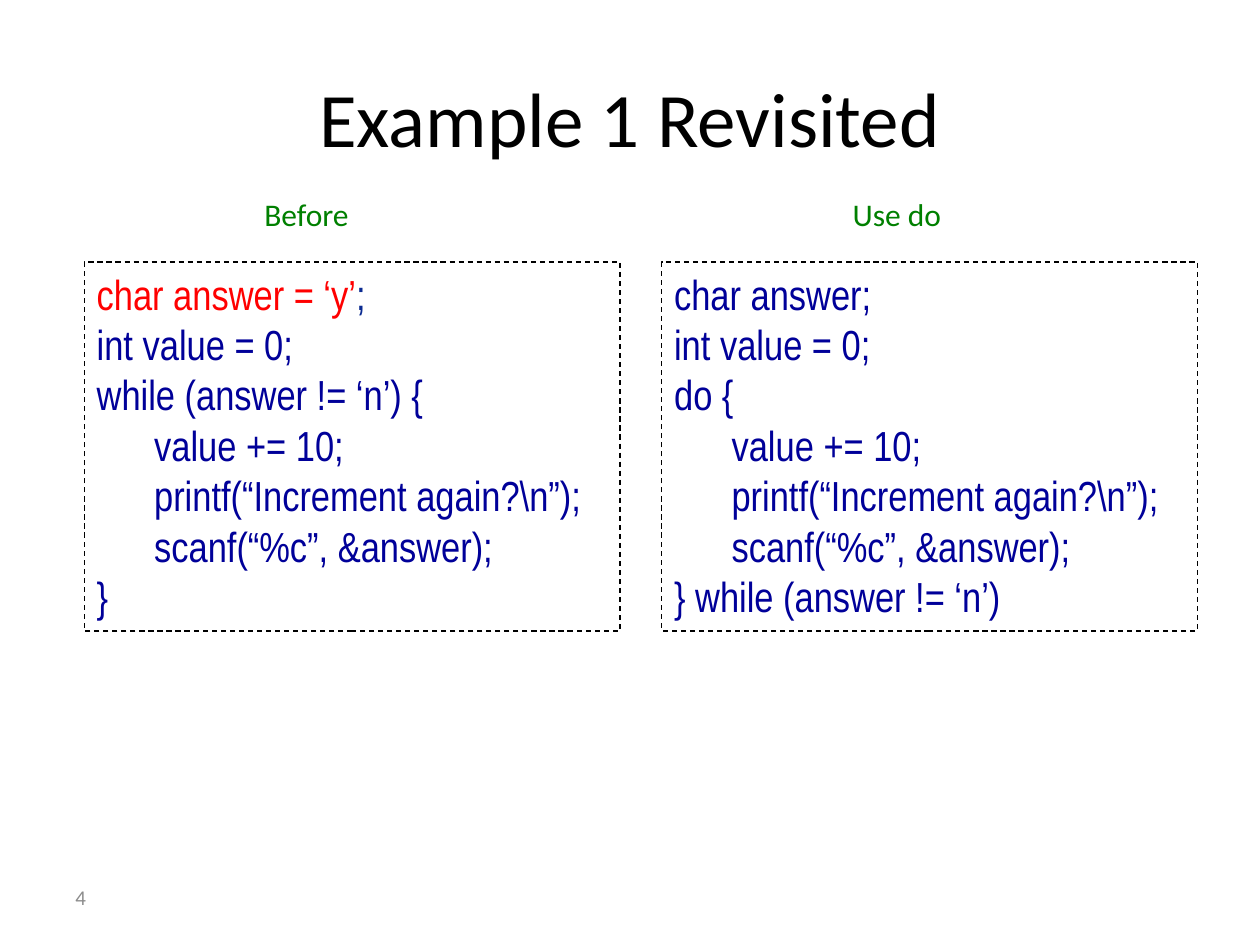
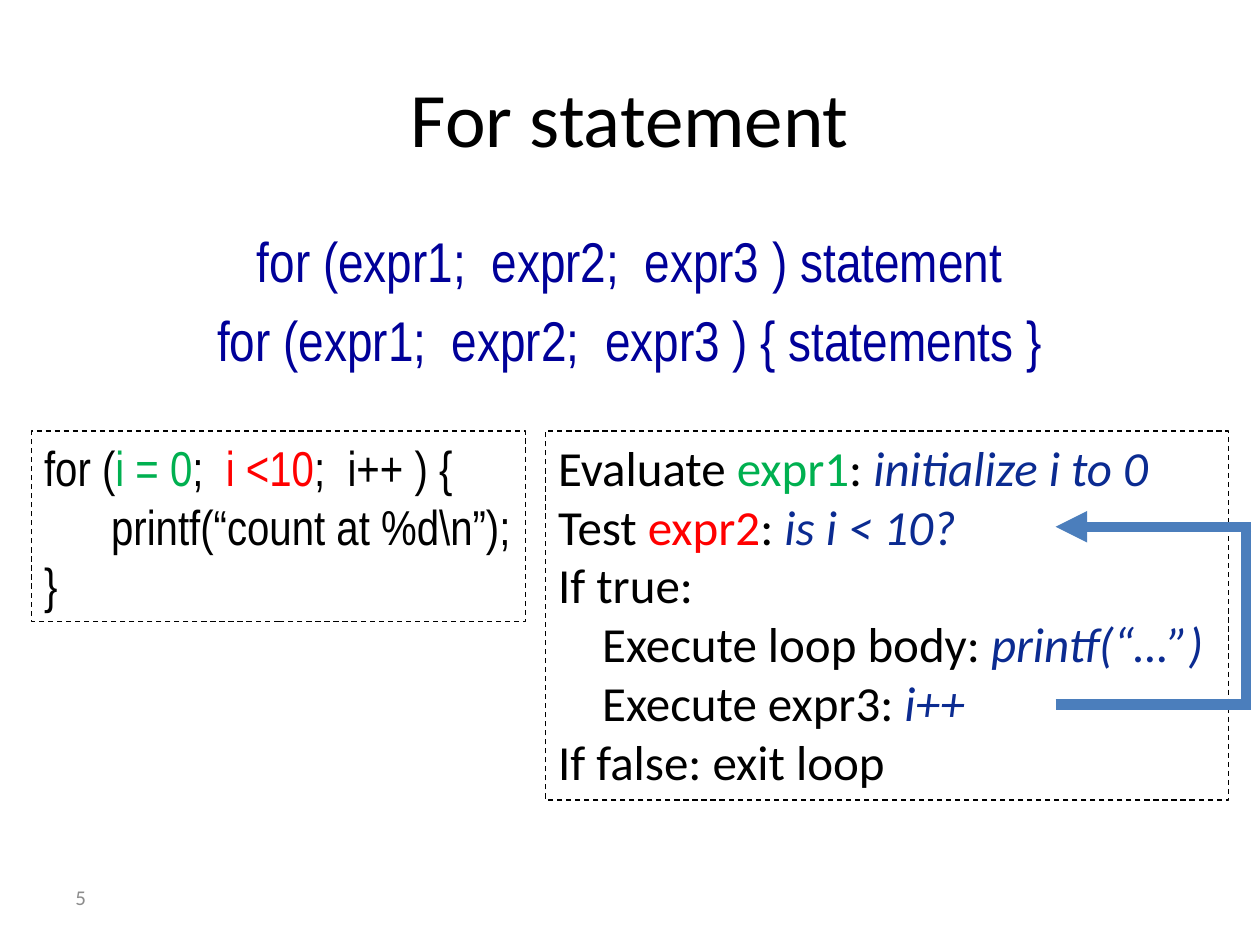
from dataclasses import dataclass
from typing import Optional

from lxml import etree
from pptx import Presentation
from pptx import util as u
from pptx.dml.color import RGBColor
from pptx.enum import dml, shapes, text
from pptx.oxml.ns import qn

BLACK = RGBColor(0x00, 0x00, 0x00)
GREY = RGBColor(0x8C, 0x8C, 0x8C)
RED = RGBColor(0xFF, 0x00, 0x00)
GREEN = RGBColor(0x00, 0xB0, 0x50)
CAPTION_GREEN = RGBColor(0x00, 0x80, 0x00)
CODE_BLUE = RGBColor(0x00, 0x00, 0x99)
NOTE_BLUE = RGBColor(0x0B, 0x2B, 0x91)
ARROW_BLUE = RGBColor(0x4B, 0x7E, 0xBC)

CODE_FONT = "Arial Narrow"
TEXT_FONT = "Calibri"

MARGIN = 1.27
CONTENT_WIDTH = 22.86


@dataclass(frozen=True)
class Area:
    """A rectangle in centimetres."""
    left: float
    top: float
    width: float
    height: float

    def lengths(self) -> tuple:
        return tuple(u.Cm(n) for n in (self.left, self.top, self.width, self.height))


@dataclass(frozen=True)
class Style:
    font: str
    size: float
    colour: RGBColor
    centred: bool = False
    gap: float = 0
    anchor: text.MSO_ANCHOR = text.MSO_ANCHOR.TOP
    wrap: bool = True


@dataclass(frozen=True)
class Span:
    """Part of a line; colour None means the colour of the box style."""
    content: str
    colour: Optional[RGBColor] = None
    italic: bool = False


@dataclass(frozen=True)
class Line:
    spans: tuple
    indent: float = 0


TITLE = Style(TEXT_FONT, 44, BLACK, centred=True, anchor=text.MSO_ANCHOR.MIDDLE)
NUMBER = Style(TEXT_FONT, 12, GREY, anchor=text.MSO_ANCHOR.MIDDLE)
CAPTION = Style(TEXT_FONT, 18, CAPTION_GREEN, wrap=False)
SYNTAX = Style(CODE_FONT, 32, CODE_BLUE, centred=True, gap=6.4)
LISTING = Style(CODE_FONT, 24, CODE_BLUE)
LARGE_LISTING = Style(CODE_FONT, 28, BLACK)
STEPS = Style(TEXT_FONT, 28, BLACK)


def line(*parts, indent: float = 0) -> Line:
    """Make a line from spans and plain strings."""
    return Line(tuple(Span(p) if isinstance(p, str) else p for p in parts), indent)


def note(content: str) -> Span:
    return Span(content, NOTE_BLUE, italic=True)


def write(box, lines: list, style: Style) -> None:
    frame = box.text_frame
    frame.word_wrap = style.wrap
    frame.vertical_anchor = style.anchor
    for index, item in enumerate(lines):
        para = frame.paragraphs[0] if index == 0 else frame.add_paragraph()
        para.alignment = text.PP_ALIGN.CENTER if style.centred else text.PP_ALIGN.LEFT
        if item.indent:
            para._p.get_or_add_pPr().set("marL", str(u.Cm(item.indent)))
        if index and style.gap:
            para.space_before = u.Pt(style.gap)
        para.font.name = style.font
        para.font.size = u.Pt(style.size)
        para.font.color.rgb = style.colour
        for part in item.spans:
            span = para.add_run()
            span.text = part.content
            if part.colour is not None:
                span.font.color.rgb = part.colour
            if part.italic:
                span.font.italic = True


def add_text(page, area: Area, lines: list, style: Style) -> None:
    write(page.shapes.add_textbox(*area.lengths()), lines, style)


def add_dashed_box(page, area: Area, lines: list, style: Style) -> None:
    box = page.shapes.add_shape(shapes.MSO_SHAPE.RECTANGLE, *area.lengths())
    box.shadow.inherit = False
    box.fill.background()
    box.line.color.rgb = BLACK
    box.line.width = u.Pt(0.75)
    box.line.dash_style = dml.MSO_LINE.DASH
    write(box, lines, style)
    box.text_frame.vertical_anchor = text.MSO_ANCHOR.TOP


def add_page(deck, title: str, number: int):
    page = deck.slides.add_slide(deck.slide_layouts[6])
    add_text(page, Area(MARGIN, 0.76, CONTENT_WIDTH, 3.18), [line(title)], TITLE)
    add_text(page, Area(MARGIN, 17.58, 5.92, 1.02), [line(str(number))], NUMBER)
    return page


def add_loop_arrow(page) -> None:
    """Draw the three-part arrow from the last step of the loop to the test."""
    start, side, test, increment = 21.28, 25.12, 10.62, 14.2
    overlap = 0.1
    segments = [
        (start, increment, side + overlap, increment),
        (side, increment + overlap, side, test - overlap),
        (side + overlap, test, start, test),
    ]
    group = page.shapes.add_group_shape()
    for segment in segments:
        arrow = group.shapes.add_connector(
            shapes.MSO_CONNECTOR.STRAIGHT, *(u.Cm(n) for n in segment))
        arrow.line.color.rgb = ARROW_BLUE
        arrow.line.width = u.Pt(6)
        etree.SubElement(arrow._element.spPr, qn("a:effectLst"))
    etree.SubElement(arrow.line._get_or_add_ln(), qn("a:tailEnd"), type="triangle")


def build_comparison(deck) -> None:
    page = add_page(deck, "Example 1 Revisited", 4)
    body = [
        line("      value += 10;"),
        line("      printf(“Increment again?\\n”);"),
        line("      scanf(“%c”, &answer);"),
    ]
    value = line("int value = 0;")
    before = [
        line(Span("char answer = ‘y’", RED), Span(";", NOTE_BLUE)),
        value, line("while (answer != ‘n’) {"), *body, line("}"),
    ]
    after = [
        line("char answer;"),
        value, line("do {"), *body, line("} while (answer != ‘n’)"),
    ]
    for left, lines in ((1.7, before), (13.34, after)):
        add_dashed_box(page, Area(left, 5.28, 10.8, 7.44), lines, LISTING)
    for left, caption in ((5.08, "Before"), (16.94, "Use do")):
        add_text(page, Area(left, 3.81, 2.3, 1.02), [line(caption)], CAPTION)


def build_for_statement(deck) -> None:
    page = add_page(deck, "For statement", 5)
    syntax = [
        line("for (expr1;  expr2;  expr3 ) statement"),
        line("for (expr1;  expr2;  expr3 ) { statements }"),
    ]
    add_text(page, Area(MARGIN, 4.45, CONTENT_WIDTH, 12.57), syntax, SYNTAX)
    listing = [
        line("for (", Span("i = 0", GREEN), ";  ", Span("i <10", RED), ";  i++ ) {"),
        line("      printf(“count at %d\\n”);"),
        line("}"),
    ]
    add_dashed_box(page, Area(0.64, 8.69, 9.96, 3.84), listing, LARGE_LISTING)
    steps = [
        line("Evaluate ", Span("expr1", GREEN), ": ", note("initialize i to 0")),
        line("Test ", Span("expr2", RED), ": ", note("is i < 10?")),
        line("If true:"),
        line("Execute loop body: ", note("printf(“…”)"), indent=0.89),
        line("Execute expr3: ", note("i++"), indent=0.89),
        line("If false: exit loop"),
    ]
    add_dashed_box(page, Area(11, 8.69, 13.77, 7.44), steps, STEPS)
    add_loop_arrow(page)


def main() -> None:
    deck = Presentation()
    deck.slide_width, deck.slide_height = u.Cm(25.4), u.Cm(19.05)
    build_comparison(deck)
    build_for_statement(deck)
    deck.save("out.pptx")


if __name__ == "__main__":
    main()
